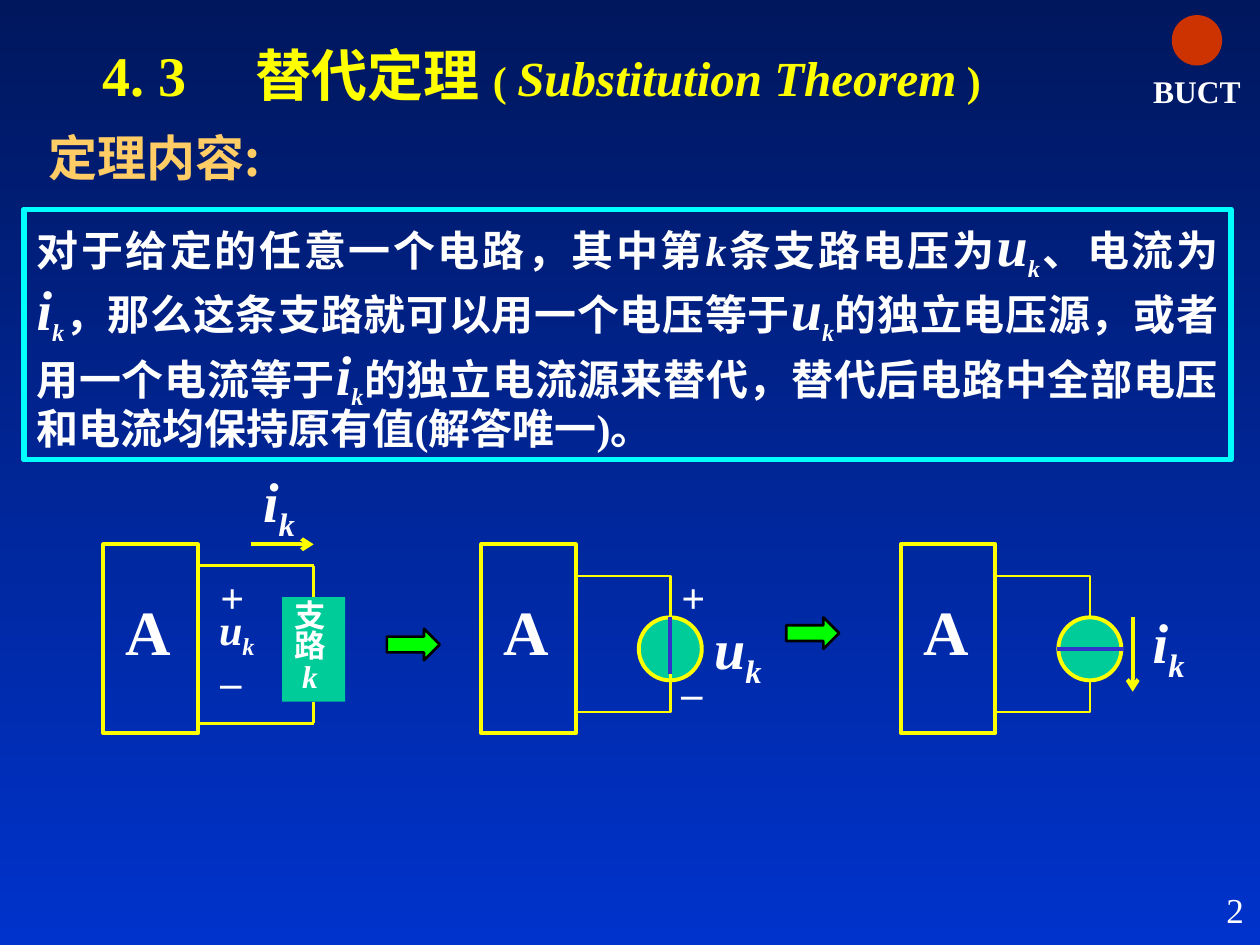
from lxml.etree import SubElement
from pptx import Presentation
from pptx.dml.color import RGBColor
from pptx.enum.shapes import MSO_CONNECTOR, MSO_SHAPE
from pptx.enum.text import MSO_ANCHOR, MSO_AUTO_SIZE, PP_ALIGN
from pptx.oxml.ns import qn
from pptx.util import Inches, Pt

LATIN, CJK = "Times New Roman", "Noto Sans CJK SC"
YELLOW, WHITE, GREEN, BLUE = "FFFF00", "FFFFFF", "00CC99", "3333CC"
BLOCK_W, BLOCK_H = 0.75, 1.5


def rgb(value):
    return RGBColor.from_string(value)


def write(paragraph, runs, size, color=WHITE, bold=True, font=LATIN):
    """Fill a paragraph from (text, style) runs; style may hold size, italic, sub."""
    for text, style in runs:
        run = paragraph.add_run()
        run.text = text
        run.font.size = Pt(style.get("size", size))
        run.font.bold = bold
        run.font.italic = style.get("italic", False)
        run.font.color.rgb = rgb(color)
        run.font.name = font
        properties = run._r.get_or_add_rPr()
        SubElement(properties, qn("a:ea")).set("typeface", CJK)
        if style.get("sub"):
            properties.set("baseline", "-25000")


def symbol(letter, size, sub_size):
    """Runs of an italic quantity with the index k."""
    return [(letter, {"italic": True, "size": size}),
            ("k", {"italic": True, "size": sub_size, "sub": True})]


def place(shape, x, y, w, h):
    shape.left, shape.top = Inches(x), Inches(y)
    shape.width, shape.height = Inches(w), Inches(h)


def label(slide, x, y, w, h, runs, size, align=PP_ALIGN.LEFT, **look):
    box = slide.shapes.add_textbox(Inches(x), Inches(y), Inches(w), Inches(h))
    box.text_frame.word_wrap = True
    paragraph = box.text_frame.paragraphs[0]
    paragraph.alignment = align
    write(paragraph, runs, size, **look)
    return box


def figure(slide, kind, x, y, w, h, fill=None, line=None, width=2.25):
    shape = slide.shapes.add_shape(kind, Inches(x), Inches(y), Inches(w), Inches(h))
    shape.shadow.inherit = False
    if fill:
        shape.fill.solid()
        shape.fill.fore_color.rgb = rgb(fill)
    else:
        shape.fill.background()
    if line:
        shape.line.color.rgb = rgb(line)
        shape.line.width = Pt(width)
    else:
        shape.line.fill.background()
    return shape


def wire(slide, x1, y1, x2, y2, color=YELLOW, width=1.5, arrow=False):
    connector = slide.shapes.add_connector(
        MSO_CONNECTOR.STRAIGHT, Inches(x1), Inches(y1), Inches(x2), Inches(y2))
    connector.line.color.rgb = rgb(color)
    connector.line.width = Pt(width)
    if arrow:
        SubElement(connector.line._get_or_add_ln(), qn("a:tailEnd")).set("type", "arrow")
    SubElement(connector._element.spPr, qn("a:effectLst"))


def title_region(slide, x, y, w, h):
    title = slide.shapes.title
    place(title, x, y, w, h)
    frame = title.text_frame
    frame.auto_size = MSO_AUTO_SIZE.NONE
    frame.vertical_anchor = MSO_ANCHOR.MIDDLE
    paragraph = frame.paragraphs[0]
    paragraph.alignment = PP_ALIGN.LEFT
    tabs = SubElement(paragraph._p.get_or_add_pPr(), qn("a:tabLst"))
    stop = SubElement(tabs, qn("a:tab"))
    stop.set("pos", str(Inches(1.22)))
    stop.set("algn", "l")
    write(paragraph, [("4. 3\t替代定理 ", {}), ("( ", {"size": 24}),
                      ("Substitution Theorem", {"size": 28, "italic": True}),
                      (" )", {"size": 24})], 32, YELLOW)


def theorem_region(slide, x, y, w, h):
    body = slide.placeholders[1]
    place(body, x, y, w, h)
    body.line.color.rgb = rgb("00FFFF")
    body.line.width = Pt(3)
    body.text_frame.auto_size = MSO_AUTO_SIZE.NONE
    paragraph = body.text_frame.paragraphs[0]
    paragraph.alignment = PP_ALIGN.JUSTIFY
    paragraph.line_spacing = 0.9
    paragraph.space_before = Pt(0)
    properties = paragraph._p.get_or_add_pPr()
    properties.set("marL", "0")
    properties.set("indent", "0")
    SubElement(properties, qn("a:buNone"))
    voltage, current = symbol("u", 32, 24), symbol("i", 32, 24)
    write(paragraph, [
        ("对于给定的任意一个电路，其中第", {}), ("k", {"italic": True}),
        ("条支路电压为", {}), *voltage, ("、电流为", {}), *current,
        ("，那么这条支路就可以用一个电压等于", {}), *voltage,
        ("的独立电压源，或者用一个电流等于", {}), *current,
        ("的独立电流源来替代，替代后电路中全部电压和电流均保持原有值(解答唯一)。", {}),
    ], 24)


def network_block(slide, x, y):
    figure(slide, MSO_SHAPE.RECTANGLE, x, y, BLOCK_W, BLOCK_H, line=YELLOW)
    label(slide, x + 0.08, y + 0.33, 0.6, 0.7, [("A", {})], 36)


def polarity(slide, x, plus_y, minus_y):
    for sign, y in (("+", plus_y), ("–", minus_y)):
        label(slide, x, y, 0.42, 0.5, [(sign, {})], 24)


def branch_circuit(slide, x, y):
    """Network A with its original branch k."""
    left, right = x + BLOCK_W, x + 1.67
    branch_top, branch_h = y + 0.42, 0.83
    figure(slide, MSO_SHAPE.RECTANGLE, right - 0.25, branch_top, 0.5, branch_h, GREEN)
    network_block(slide, x, y)
    for rail, end in ((y + 0.17, branch_top), (y + 1.42, branch_top + branch_h)):
        wire(slide, left, rail, right, rail)
        wire(slide, right, rail, right, end)
    wire(slide, right - 0.5, y, right, y, width=2.25, arrow=True)
    label(slide, x + 1.17, y - 0.67, 0.58, 0.71, symbol("i", 32, 32), 32)
    polarity(slide, x + 0.83, y + 0.17, y + 0.83)
    label(slide, x + 0.82, y + 0.42, 0.6, 0.56, symbol("u", 24, 24), 24)
    name = label(slide, right - 0.25, branch_top, 0.44, 0.83,
                 [("支", {})], 18, PP_ALIGN.CENTER)
    for text, style in (("路", {}), ("k", {"italic": True})):
        paragraph = name.text_frame.add_paragraph()
        paragraph.alignment = PP_ALIGN.CENTER
        write(paragraph, [(text, style)], 18)
    for paragraph in name.text_frame.paragraphs:
        paragraph.line_spacing = 0.8


def source_circuit(slide, x, y):
    """Network A closed through an empty source circle."""
    network_block(slide, x, y)
    figure(slide, MSO_SHAPE.RECTANGLE, x + BLOCK_W, y + 0.25, 0.75, 1.08,
           line=YELLOW, width=1.5)
    figure(slide, MSO_SHAPE.OVAL, x + 1.25, y + 0.58, 0.5, 0.5, GREEN, YELLOW)


def voltage_source_circuit(slide, x, y):
    source_circuit(slide, x, y)
    wire(slide, x + 1.5, y + 0.57, x + 1.5, y + 1.1)
    wire(slide, x + 1.5, y + 0.58, x + 1.5, y + 1.03, BLUE, 2.25)
    polarity(slide, x + 1.49, y + 0.17, y + 0.92)
    label(slide, x + 1.75, y + 0.5, 0.65, 0.71, symbol("u", 32, 32), 32)


def current_source_circuit(slide, x, y):
    source_circuit(slide, x, y)
    wire(slide, x + 1.24, y + 0.83, x + 1.77, y + 0.83, BLUE, 2.25)
    wire(slide, x + 1.84, y + 0.58, x + 1.84, y + 1.17, width=2.25, arrow=True)
    label(slide, x + 1.9, y + 0.45, 0.68, 0.71, symbol("i", 32, 32), 32)


def school_mark(slide, x, y, w):
    """A plain emblem over the school's initials."""
    figure(slide, MSO_SHAPE.OVAL, x + w / 2 - 0.2, y, 0.4, 0.4, "CC3300")
    label(slide, x, y + 0.4, w, 0.4, [("BUCT", {})], 18, PP_ALIGN.CENTER)


def main():
    prs = Presentation()
    prs.slide_width, prs.slide_height = Inches(10), Inches(7.5)
    slide = prs.slides.add_slide(prs.slide_layouts[1])
    background = slide.background.fill
    background.gradient()
    background.gradient_angle = 270
    for stop, position, color in zip(background.gradient_stops, (0, 1), ("00175E", "0033CC")):
        stop.position = position
        stop.color.rgb = rgb(color)

    school_mark(slide, 9.0, 0.12, 1.0)
    title_region(slide, 0.71, 0.27, 8.22, 0.63)
    label(slide, 0.29, 0.96, 2.15, 0.57, [("定理内容:", {})], 28,
          color="FFCC66", font=CJK)
    theorem_region(slide, 0.19, 1.66, 9.58, 1.99)

    circuit_top = 4.32
    branch_circuit(slide, 0.82, circuit_top)
    voltage_source_circuit(slide, 3.82, circuit_top)
    current_source_circuit(slide, 7.15, circuit_top)
    for x, y in ((3.07, 4.99), (6.24, 4.9)):
        figure(slide, MSO_SHAPE.RIGHT_ARROW, x, y, 0.42, 0.25, "00FF00", "000000", 1.5)
    label(slide, 7.89, 7, 2.08, 0.5, [("2", {})], 20, PP_ALIGN.RIGHT, bold=False)
    prs.save("out.pptx")


if __name__ == "__main__":
    main()
